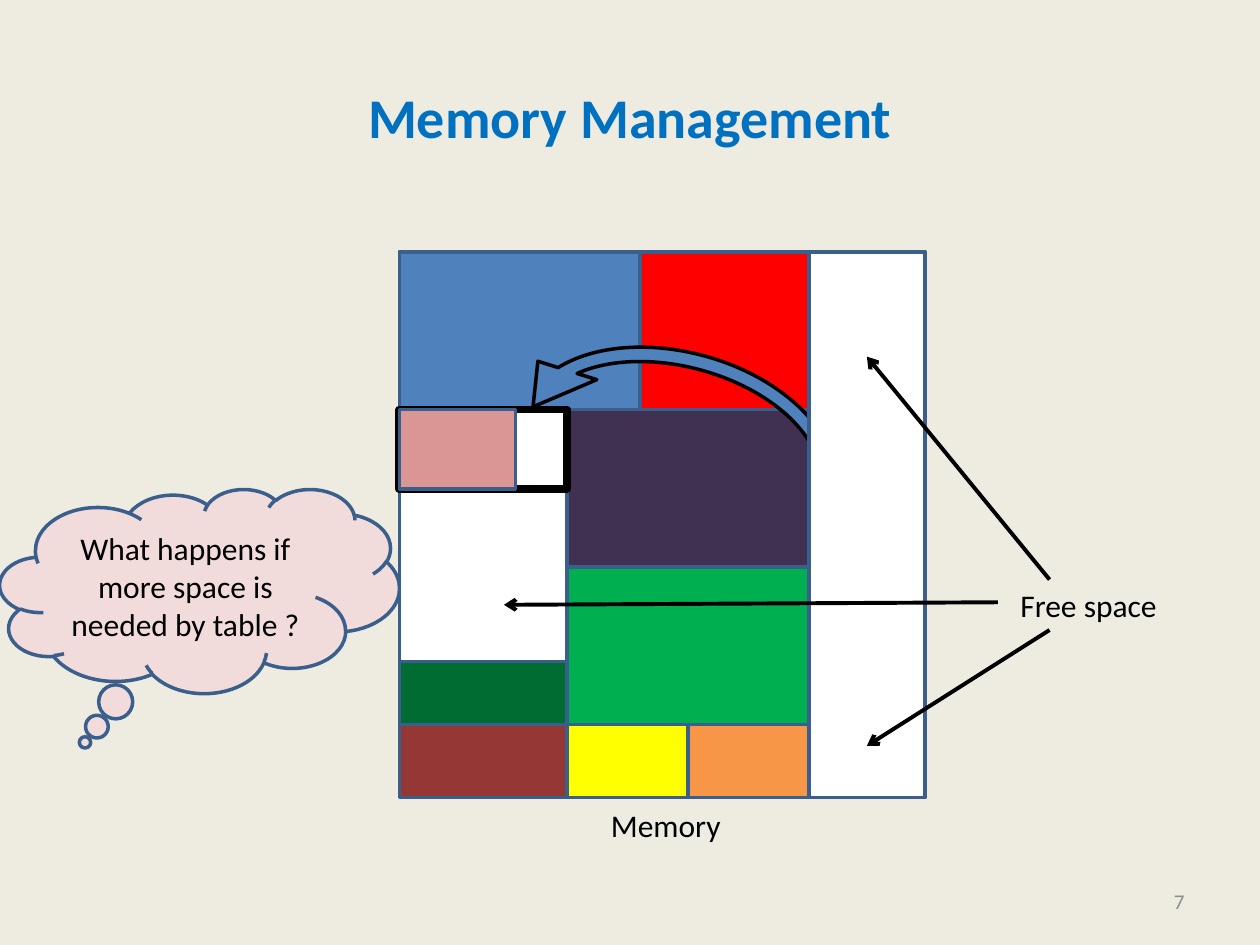
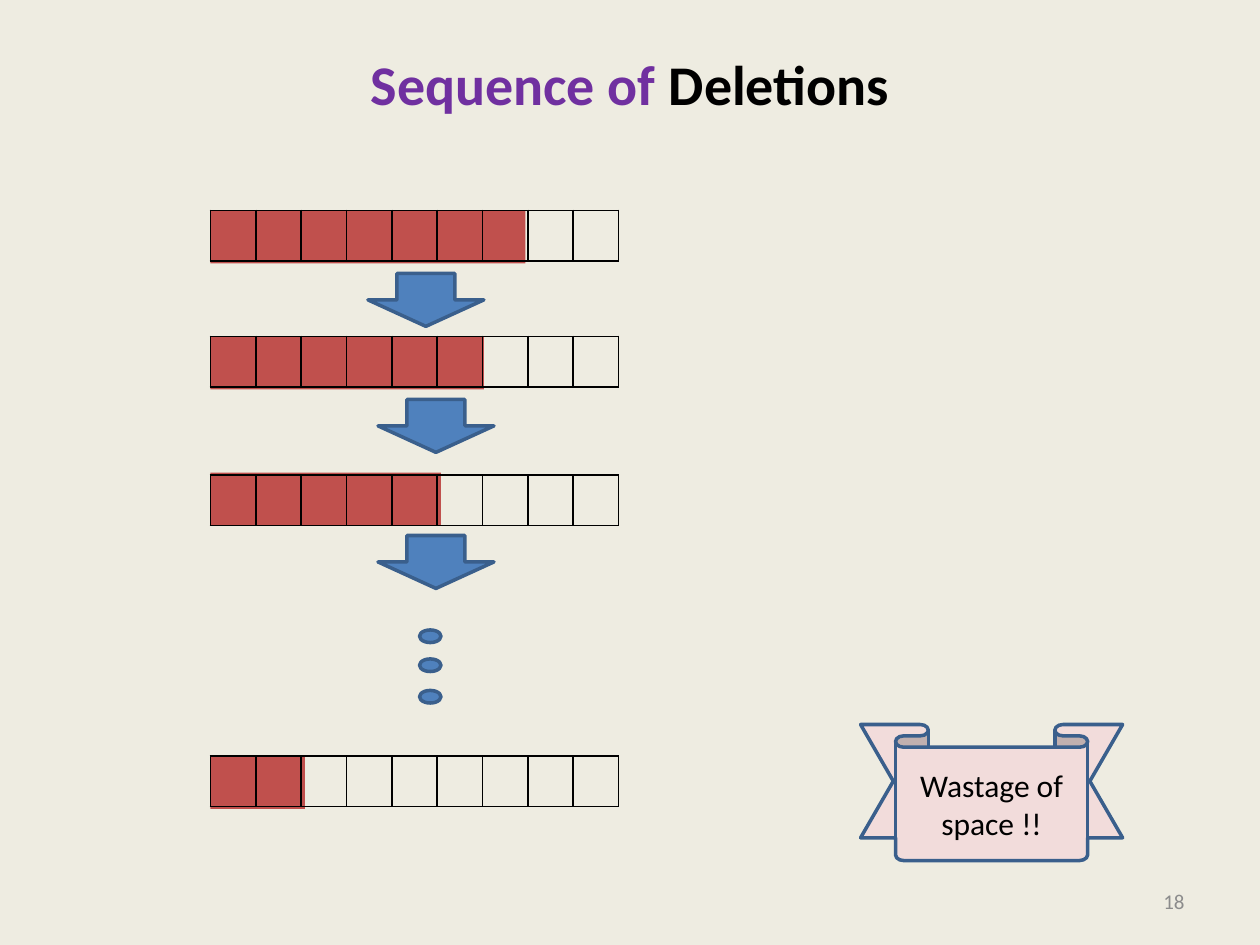
from dataclasses import dataclass

from lxml.etree import SubElement
from pptx import Presentation
from pptx.dml.color import RGBColor
from pptx.enum.shapes import MSO_CONNECTOR as Connector, MSO_SHAPE as Preset
from pptx.enum.text import MSO_ANCHOR as Anchor, PP_ALIGN as Align
from pptx.oxml.ns import qn
from pptx.util import Inches, Pt


@dataclass(frozen=True)
class Theme:
    font: str = "Calibri"
    title_size: int = 32
    body_size: int = 18
    number_size: int = 12
    outline_width: float = 2
    background: str = "EEECE1"
    title_blue: str = "0070C0"
    title_purple: str = "7030A0"
    black: str = "000000"
    white: str = "FFFFFF"
    gray: str = "8C8C8C"
    outline: str = "3A5F8C"
    blue: str = "4F81BD"
    brick: str = "C0504D"
    note: str = "F2DCDB"


THEME = Theme()

# Memory map: column and row edges, and the blocks between them
MAP_LEFT, MAP_MIDDLE, MAP_FREE, MAP_RIGHT = 3.17, 4.5, 6.42, 7.34
MAP_TOP, MAP_BOTTOM = 2, 6.33
TABLE_BOTTOM = 3.88
MEMORY_BLOCKS = [  # left, top, right, bottom, colour
    (MAP_LEFT, MAP_TOP, MAP_RIGHT, MAP_BOTTOM, "F79646"),
    (MAP_LEFT, MAP_TOP, 5.08, 3.25, THEME.blue),
    (MAP_LEFT, 3.25, MAP_MIDDLE, 5.25, THEME.white),
    (5.08, MAP_TOP, MAP_FREE, 3.25, "FF0000"),
    (MAP_MIDDLE, 3.25, MAP_FREE, 4.5, "403152"),
    (MAP_MIDDLE, 4.5, MAP_FREE, 5.75, "00B050"),
    (MAP_LEFT, 5.75, MAP_MIDDLE, MAP_BOTTOM, "953735"),
    (MAP_LEFT, 5.25, MAP_MIDDLE, 5.75, "006C31"),
    (MAP_MIDDLE, 5.75, 5.46, MAP_BOTTOM, "FFFF00"),
]

# Array after deletions: top of the filled bar, top of the grid, filled width
ARRAY_LEFT, BAR_HEIGHT = 1.67, 0.42
CELL_COUNT, CELL_WIDTH, CELL_HEIGHT = 9, 0.36, 0.4
ARRAY_STATES = [
    (1.67, 1.67, 2.5),
    (2.67, 2.67, 2.17),
    (3.75, 3.77, 1.83),
    (6, 6, 0.75),
]
STEP_ARROW_LEFTS = [2.92, 3, 3]


def color(value):
    return RGBColor.from_string(value)


def inches(*lengths):
    return [Inches(length) for length in lengths]


def format_runs(paragraph, size, value, bold=False):
    for run in paragraph.runs:
        run.font.name = THEME.font
        run.font.size = Pt(size)
        run.font.bold = bold
        run.font.color.rgb = color(value)


def add_shape(shapes, preset, box, fill, line=THEME.outline,
              width=THEME.outline_width, adjustments=(), text=""):
    shape = shapes.add_shape(preset, *inches(*box))
    shape.shadow.inherit = False
    shape.fill.solid()
    shape.fill.fore_color.rgb = color(fill)
    if line:
        shape.line.color.rgb = color(line)
        shape.line.width = Pt(width)
    else:
        shape.line.fill.background()
    for index, value in enumerate(adjustments):
        shape.adjustments[index] = value
    if text:
        shape.text_frame.text = text
        shape.text_frame.vertical_anchor = Anchor.MIDDLE
        paragraph = shape.text_frame.paragraphs[0]
        paragraph.alignment = Align.CENTER
        format_runs(paragraph, THEME.body_size, THEME.black)
    return shape


def add_block(shapes, left, top, right, bottom, fill, **style):
    return add_shape(shapes, Preset.RECTANGLE,
                     (left, top, right - left, bottom - top), fill, **style)


def add_label(shapes, box, text, size=THEME.body_size, value=THEME.black,
              align=Align.LEFT, anchor=Anchor.TOP):
    frame = shapes.add_textbox(*inches(*box)).text_frame
    frame.word_wrap = True
    frame.vertical_anchor = anchor
    frame.text = text
    frame.paragraphs[0].alignment = align
    format_runs(frame.paragraphs[0], size, value)


def add_arrow(shapes, start, end):
    arrow = shapes.add_connector(Connector.STRAIGHT, *inches(*start, *end))
    arrow.line.color.rgb = color(THEME.black)
    arrow.line.width = Pt(2.25)
    SubElement(arrow.line._get_or_add_ln(), qn("a:tailEnd"), type="arrow")
    SubElement(arrow._element.spPr, qn("a:effectLst"))


def set_borders(cell, value, width):
    properties = cell._tc.get_or_add_tcPr()
    for side in ("lnL", "lnR", "lnT", "lnB"):
        line = SubElement(properties, qn(f"a:{side}"), w=str(Pt(width)))
        fill = SubElement(line, qn("a:solidFill"))
        SubElement(fill, qn("a:srgbClr"), val=value)


def add_grid(shapes, left, top):
    table = shapes.add_table(
        1, CELL_COUNT, *inches(left, top, CELL_COUNT * CELL_WIDTH, CELL_HEIGHT)
    ).table
    table.first_row = False
    table.horz_banding = False
    table.rows[0].height = Inches(CELL_HEIGHT)
    for column in table.columns:
        column.width = Inches(CELL_WIDTH)
    for cell in table.iter_cells():
        set_borders(cell, THEME.black, 1)
        cell.fill.background()


def add_slide(presentation, title_parts, number, title_lift=0):
    """Add a titled slide; title_lift is extra space kept below the title."""
    slide = presentation.slides.add_slide(presentation.slide_layouts[5])
    title = slide.shapes.title
    title.left, title.top, title.width, title.height = inches(0.5, 0.3, 9, 1.25)
    frame = title.text_frame
    frame.vertical_anchor = Anchor.MIDDLE
    frame.margin_bottom = Inches(0.05 + title_lift)
    paragraph = frame.paragraphs[0]
    paragraph.alignment = Align.CENTER
    for text, value in title_parts:
        run = paragraph.add_run()
        run.text = text
        run.font.name = THEME.font
        run.font.size = Pt(THEME.title_size)
        run.font.bold = True
        run.font.color.rgb = color(value)
    add_label(slide.shapes, (7.17, 6.95, 2.33, 0.4), number,
              THEME.number_size, THEME.gray, Align.RIGHT, Anchor.MIDDLE)
    return slide


def build_memory_slide(presentation):
    slide = add_slide(presentation, [("Memory Management", THEME.title_blue)], "7")
    shapes = slide.shapes
    add_label(shapes, (4.75, 6.35, 1.2, 0.4), "Memory")
    add_shape(shapes, Preset.CLOUD_CALLOUT, (0, 3.88, 3.17, 1.62), THEME.note,
              adjustments=(-0.287, 0.742),
              text="What happens if more space is needed by table ?")

    # Occupied memory and the space the table moves into
    for block in MEMORY_BLOCKS:
        add_block(shapes, *block)
    add_block(shapes, MAP_LEFT, 3.25, MAP_MIDDLE, TABLE_BOTTOM, THEME.white,
              line=THEME.black, width=4.5)

    # Move of the table out of the right-hand column
    move_arrow = add_shape(shapes, Preset.CIRCULAR_ARROW, (3.93, 2.61, 2.91, 1.96),
                           THEME.blue, line=THEME.black,
                           adjustments=(0.059, 11.423, 203.338, 108, 0.125))
    move_arrow.rotation = 15.3
    move_arrow._element.spPr.xfrm.set("flipH", "1")
    add_block(shapes, MAP_LEFT, 3.25, 4.09, TABLE_BOTTOM, "D99694")
    add_block(shapes, MAP_FREE, MAP_TOP, MAP_RIGHT, MAP_BOTTOM, THEME.white)

    # Pointers to the free space
    pointers = shapes.add_group_shape().shapes
    add_label(pointers, (8, 4.6, 1.4, 0.4), "Free space")
    for start, end in [((8.33, 4.6), (6.88, 2.83)),
                       ((7.92, 4.78), (4, 4.8)),
                       ((8.33, 5), (6.88, 5.92))]:
        add_arrow(pointers, start, end)


def build_deletions_slide(presentation):
    slide = add_slide(presentation,
                      [("Sequence of ", THEME.title_purple),
                       ("Deletions", THEME.black)], "18", title_lift=0.53)
    shapes = slide.shapes

    # Array states, each a filled bar under a grid
    for bar_top, grid_top, filled_width in ARRAY_STATES:
        add_shape(shapes, Preset.RECTANGLE,
                  (ARRAY_LEFT, bar_top, filled_width, BAR_HEIGHT),
                  THEME.brick, line=None)
        add_grid(shapes, ARRAY_LEFT, grid_top)

    # Steps between the states
    for left, (bar_top, _, _) in zip(STEP_ARROW_LEFTS, ARRAY_STATES):
        add_shape(shapes, Preset.DOWN_ARROW, (left, bar_top + 0.5, 0.92, 0.42),
                  THEME.blue)
    dots = shapes.add_group_shape().shapes
    for top in (5, 5.23, 5.48):
        add_shape(dots, Preset.OVAL, (3.33, top, 0.17, 0.1), THEME.blue)

    add_shape(shapes, Preset.DOWN_RIBBON, (6.83, 5.75, 2.08, 1.08), THEME.note,
              adjustments=(0.167, 0.733), text="Wastage of space !!")


def main():
    presentation = Presentation()
    presentation.slide_width, presentation.slide_height = inches(10, 7.5)
    background = presentation.slide_master.background.fill
    background.solid()
    background.fore_color.rgb = color(THEME.background)
    build_memory_slide(presentation)
    build_deletions_slide(presentation)
    presentation.save("out.pptx")


if __name__ == "__main__":
    main()
